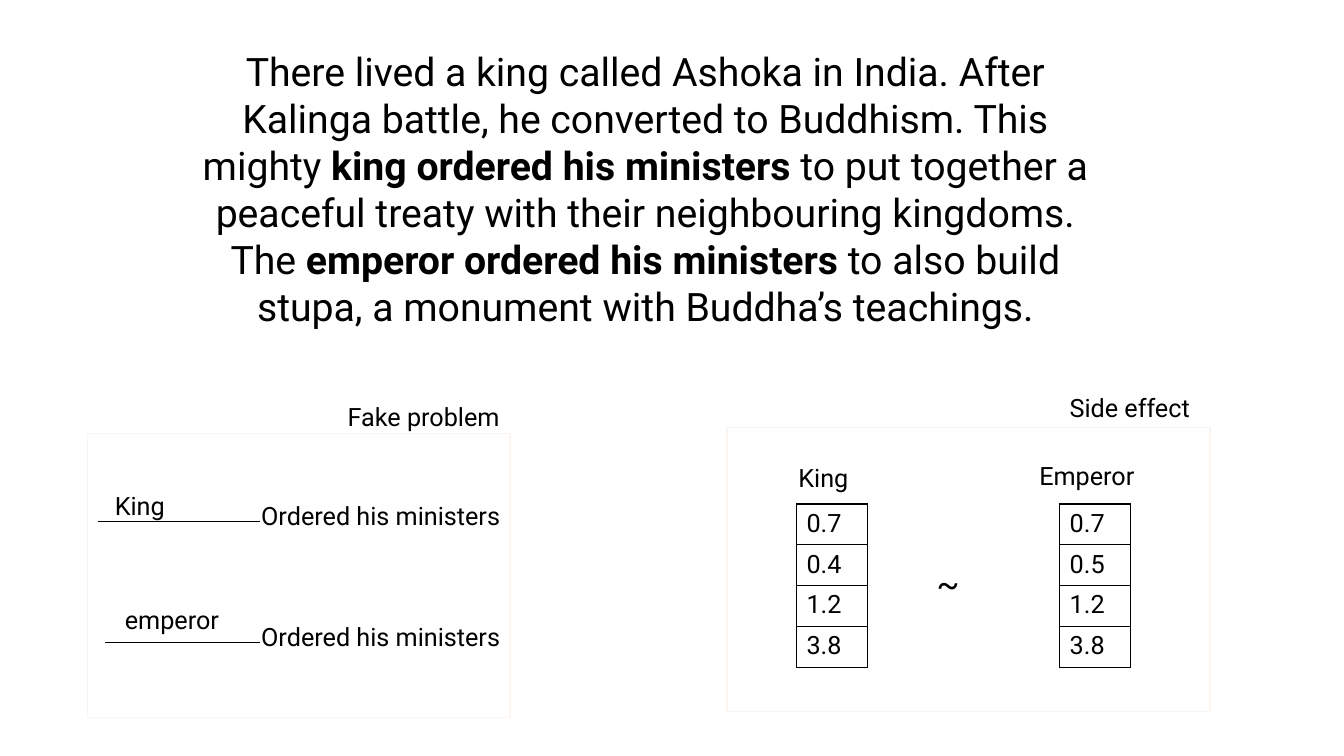
from lxml import etree
from pptx import Presentation
from pptx import util as u
from pptx.dml.color import RGBColor
from pptx.enum import shapes, text
from pptx.oxml import ns

PX = u.Inches(1) // 100  # 100 px to the inch
BLACK = RGBColor(0x00, 0x00, 0x00)
WHITE = RGBColor(0xFF, 0xFF, 0xFF)
CREAM = RGBColor(0xFB, 0xF4, 0xEF)
FONT = "Roboto"
LEFT, MID, RIGHT = text.PP_ALIGN.LEFT, text.PP_ALIGN.CENTER, text.PP_ALIGN.RIGHT

STORY = [
    ("There lived a king called Ashoka in India. After Kalinga battle, "
     "he converted to Buddhism. This mighty ", False),
    ("king ordered his ministers ", True),
    ("to put together a peaceful treaty with their neighbouring kingdoms. The ", False),
    ("emperor ordered his ministers ", True),
    ("to also build stupa, a monument with Buddha’s teachings.", False),
]


def px(*nums):
    return [u.Emu(n * PX) for n in nums]


def style(para, size=18, align=LEFT):
    para.alignment = align
    para.font.size = u.Pt(size)
    para.font.name = FONT
    para.font.color.rgb = BLACK


def label(slide, words, x, y, w, h=40, size=18):
    frame = slide.shapes.add_textbox(*px(x, y, w, h)).text_frame
    frame.word_wrap = True
    frame.text = words
    style(frame.paragraphs[0], size)


def panel(slide, x, y, w, h):
    box = slide.shapes.add_shape(shapes.MSO_SHAPE.RECTANGLE, *px(x, y, w, h))
    box.shadow.inherit = False
    box.fill.solid()
    box.fill.fore_color.rgb = WHITE
    box.line.color.rgb = CREAM
    box.line.width = u.Pt(1)
    return box


def rule(slide, x, y, end):
    line = slide.shapes.add_connector(shapes.MSO_CONNECTOR.STRAIGHT, *px(x, y, end, y))
    line.line.color.rgb = BLACK
    line.line.width = u.Pt(0.5)
    etree.SubElement(line._element.spPr, ns.qn("a:effectLst"))


def border(cell):
    props = cell._tc.get_or_add_tcPr()
    for side in ("lnL", "lnR", "lnT", "lnB"):
        edge = etree.SubElement(props, ns.qn("a:" + side), w=str(u.Pt(1)))
        fill = etree.SubElement(edge, ns.qn("a:solidFill"))
        etree.SubElement(fill, ns.qn("a:srgbClr"), val=str(BLACK))


def vector(slide, values, x, y, w=70, h=162):
    table = slide.shapes.add_table(len(values), 1, *px(x, y, w, h)).table
    table.first_row = table.horz_banding = False
    for row, value in enumerate(values):
        cell = table.cell(row, 0)
        cell.text = value
        style(cell.text_frame.paragraphs[0])
        border(cell)
        cell.fill.background()


def story(slide, x, y, w, h):
    frame = slide.shapes.add_textbox(*px(x, y, w, h)).text_frame
    frame.word_wrap = True
    para = frame.paragraphs[0]
    style(para, 28, MID)
    for words, bold in STORY:
        run = para.add_run()
        run.text = words
        run.font.bold = bold


def problem(slide, x, y, w, h):
    # Two sentence endings, set apart by paragraph spacing
    frame = panel(slide, x, y, w, h).text_frame
    frame.word_wrap = True
    frame.vertical_anchor = text.MSO_ANCHOR.MIDDLE
    frame.text = "\n".join(["Ordered his ministers"] * 2)
    for para in frame.paragraphs:
        style(para, align=RIGHT)
    frame.paragraphs[1].space_before = u.Pt(65)

    # Blanks to fill in, with their answers
    rule(slide, x + 10, y + 87, x + 171)
    rule(slide, x + 17, y + 207, x + 171)
    label(slide, "King", x + 17, y + 52, 154)
    label(slide, "emperor", x + 27, y + 165, 128)
    label(slide, "Fake problem", x + w - 171, y - 37, 171)


def effect(slide, x, y, w, h):
    panel(slide, x, y, w, h)
    label(slide, "Side effect", x + w - 149, y - 40, 149)

    # Two similar word vectors
    vector(slide, ["0.7", "0.4", "1.2", "3.8"], x + 69, y + 76)
    vector(slide, ["0.7", "0.5", "1.2", "3.8"], x + 330, y + 76)
    label(slide, "King", x + 61, y + 30, 91)
    label(slide, "Emperor", x + 300, y + 28, 123)
    label(slide, "~", x + 198, y + 130, 39, 50, 24)


def main():
    deck = Presentation()
    deck.slide_width, deck.slide_height = px(1333, 750)
    slide = deck.slides.add_slide(deck.slide_layouts[6])
    story(slide, 185, 42, 910, 293)
    problem(slide, 87, 430, 419, 282)
    effect(slide, 721, 424, 479, 282)
    deck.save("out.pptx")


if __name__ == "__main__":
    main()
